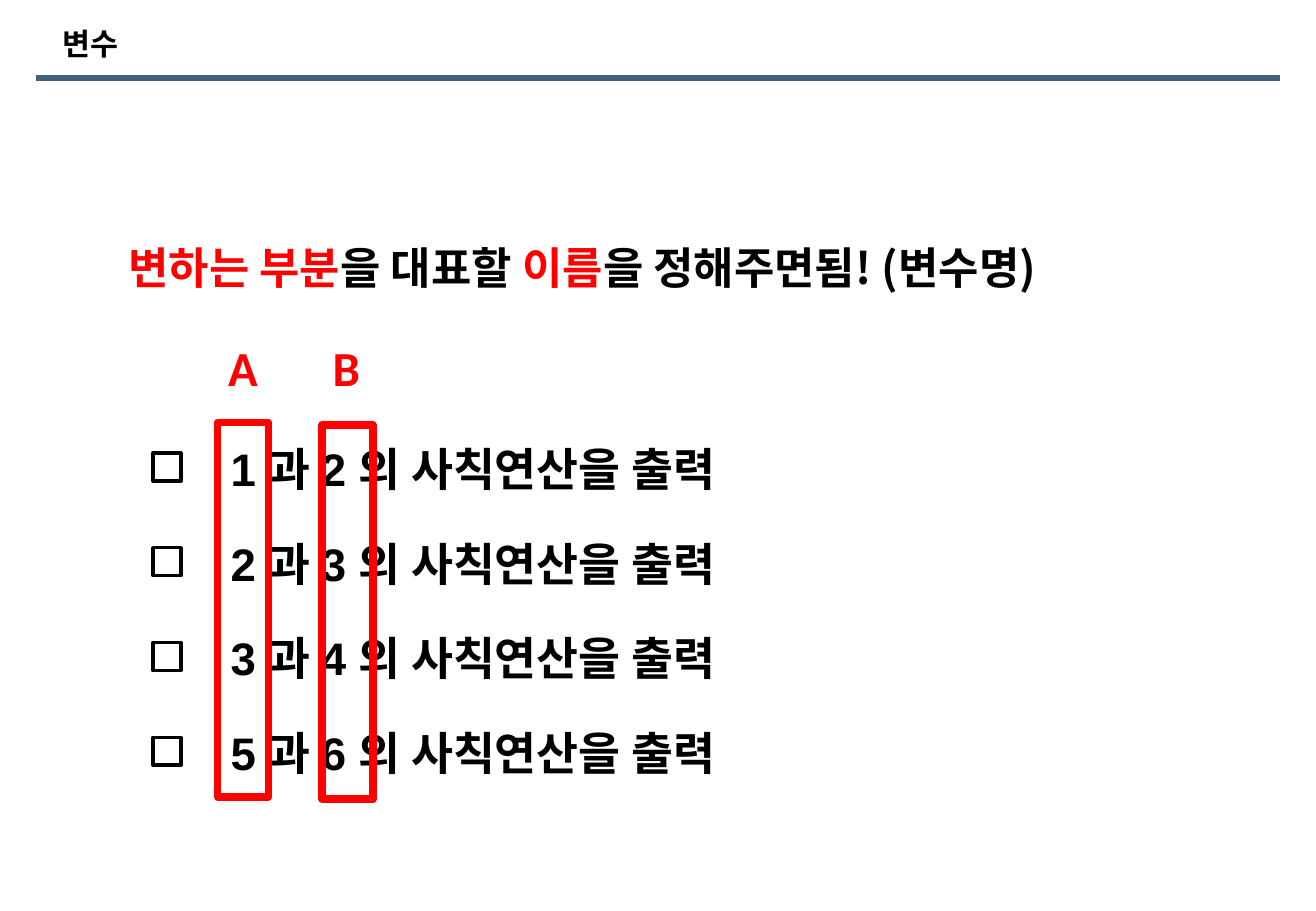
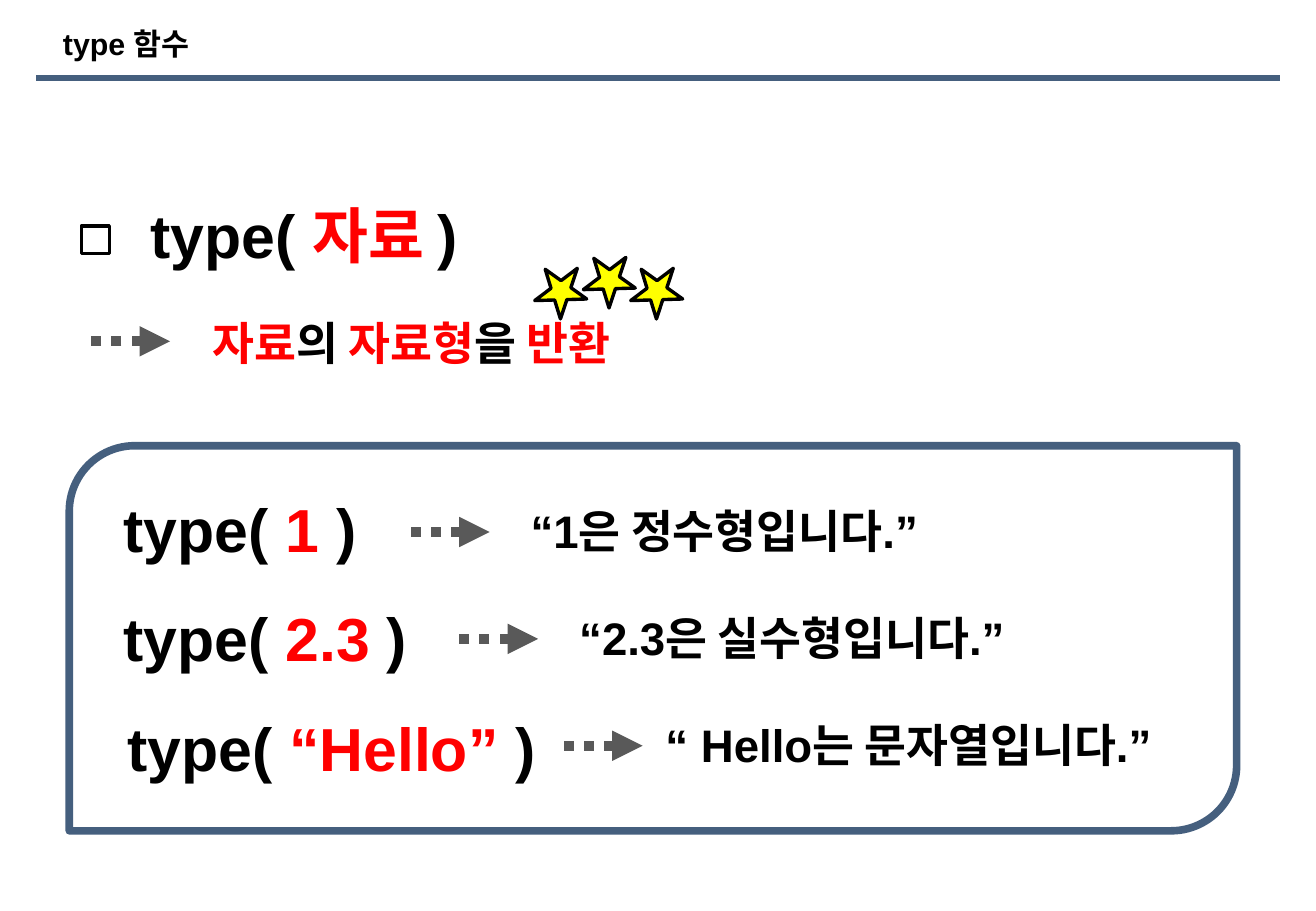
from dataclasses import dataclass

from lxml import etree
from pptx import Presentation
from pptx import util as u
from pptx.dml.color import RGBColor
from pptx.enum import dml, shapes, text
from pptx.oxml import ns

CELL = u.Inches(0.1)
COLUMNS, ROWS = 108.33, 75
COLORS = {"ink": "000000", "accent": "FF0000", "navy": "455F7E",
          "gray": "595959", "paper": "FFFFFF", "star": "FFFF00"}
KOREAN_FONT = "Noto Sans CJK KR"
Runs = list[tuple[str, str]]


@dataclass
class Box:
    """Place and size in grid columns and rows."""
    left: float
    top: float
    width: float
    height: float


@dataclass
class TextStyle:
    """Font, point size and line spacing of a text."""
    size: float
    font: str = "Arial"
    spacing: float | None = None


@dataclass
class Example:
    """A type call, its argument and the sentence it leads to."""
    argument: str
    result: str
    call_left: float
    arrow_left: float
    result_left: float


TITLE = TextStyle(18)
BODY = TextStyle(27)
CALL = TextStyle(36)
LABEL = TextStyle(29, "Calibri")
EXAMPLES = [
    Example("1 ", "“1은 정수형입니다.”", 9.2, 33.8, 42.7),
    Example("2.3 ", "“2.3은 실수형입니다.”", 9.2, 37.8, 46.7),
    Example("“Hello” ", "“ Hello는 문자열입니다.”", 9.5, 46.4, 53.8),
]


def grid(cells: float) -> u.Emu:
    """Turn a number of grid cells into a length."""
    return u.Emu(round(cells * CELL))


def color(name: str) -> RGBColor:
    """Look up a named colour."""
    return RGBColor.from_string(COLORS[name])


def add_text(slide, box: Box, runs: Runs, style: TextStyle) -> None:
    """Add a bold one-paragraph text made of coloured runs."""
    shape = slide.shapes.add_textbox(*map(grid, (box.left, box.top, box.width, box.height)))
    frame = shape.text_frame
    frame.word_wrap = True
    frame.auto_size = text.MSO_AUTO_SIZE.SHAPE_TO_FIT_TEXT
    paragraph = frame.paragraphs[0]
    if style.spacing:
        paragraph.line_spacing = style.spacing
    for words, color_name in runs:
        run = paragraph.add_run()
        run.text = words
        run.font.name, run.font.size, run.font.bold = style.font, u.Pt(style.size), True
        run.font.color.rgb = color(color_name)
        east_asian = etree.SubElement(run.font._element, ns.qn("a:ea"))
        east_asian.set("typeface", KOREAN_FONT)


def add_figure(slide, kind: shapes.MSO_SHAPE, box: Box, line: str,
               weight: float, fill: str | None = None):
    """Add a preset shape with a rounded outline and an optional fill."""
    shape = slide.shapes.add_shape(kind, *map(grid, (box.left, box.top, box.width, box.height)))
    shape.shadow.inherit = False
    if fill:
        shape.fill.solid()
        shape.fill.fore_color.rgb = color(fill)
    else:
        shape.fill.background()
    shape.line.color.rgb = color(line)
    shape.line.width = u.Pt(weight)
    etree.SubElement(shape.line._get_or_add_ln(), ns.qn("a:round"))
    return shape


def add_line(slide, start: float, end: float, top: float, line: str, weight: float):
    """Add a level line without a shadow."""
    connector = slide.shapes.add_connector(
        shapes.MSO_CONNECTOR.STRAIGHT, grid(start), grid(top), grid(end), grid(top))
    connector.line.color.rgb = color(line)
    connector.line.width = u.Pt(weight)
    etree.SubElement(connector._element.spPr, ns.qn("a:effectLst"))
    return connector


def add_arrow(slide, left: float, top: float) -> None:
    """Add a dotted arrow that points right."""
    arrow = add_line(slide, left + 6.5, left, top, "gray", 6)
    arrow.line.dash_style = dml.MSO_LINE.ROUND_DOT
    head = etree.SubElement(arrow.line._get_or_add_ln(), ns.qn("a:headEnd"))
    head.set("type", "triangle")


def add_marker(slide, left: float, top: float) -> None:
    """Add a small square list marker."""
    add_figure(slide, shapes.MSO_SHAPE.RECTANGLE, Box(left, top, 2.3, 2.3), "ink", 2, "paper")


def add_call(slide, left: float, top: float, argument: str) -> None:
    """Add a type call with its argument highlighted."""
    runs = [("type( ", "ink"), (argument, "accent"), (")", "ink")]
    add_text(slide, Box(left, top, 36.7, 7), runs, CALL)


def add_titled_slide(presentation, title: str):
    """Add a blank slide with the shared title and rule."""
    slide = presentation.slides.add_slide(presentation.slide_layouts[6])
    add_line(slide, 3, COLUMNS - 3, 6.4, "navy", 3.6)
    add_text(slide, Box(4.2, 1.6, 56.7, 4), [(title, "ink")], TITLE)
    return slide


def build_variables(presentation) -> None:
    """Build the slide on naming the changing parts."""
    slide = add_titled_slide(presentation, "변수")
    for index, (first, second) in enumerate([(1, 2), (2, 3), (3, 4), (5, 6)]):
        top = 35.8 + 7.8 * index
        add_marker(slide, 12.6, top + 1.5)
        add_text(slide, Box(18, top, 54.1, 5.4),
                 [(f"{first} 과 {second} 의 사칙연산을 출력", "ink")], BODY)
    for name, left, top in [("A", 17.9, 34.8), ("B", 26.5, 35)]:
        add_figure(slide, shapes.MSO_SHAPE.RECTANGLE, Box(left, top, 4.2, 30.8), "accent", 4.5)
        add_text(slide, Box(left - 0.1, 27.3, 4.6, 5.8), [(name, "accent")], LABEL)
    add_text(slide, Box(9.6, 13.3, 89.2, 11.4),
             [("변하는 부분", "accent"), ("을 대표할 ", "ink"), ("이름", "accent"),
              ("을 정해주면됨! (변수명)", "ink")], TextStyle(26, KOREAN_FONT, 2.4))


def build_type_function(presentation) -> None:
    """Build the slide on the type function."""
    slide = add_titled_slide(presentation, "type 함수")
    add_call(slide, 11.4, 15.8, "자료 ")
    add_marker(slide, 6.7, 18.6)
    add_arrow(slide, 7.5, 28.1)
    add_text(slide, Box(16.5, 25.4, 51.7, 5.4),
             [("자료", "accent"), ("의 ", "ink"), ("자료형", "accent"),
              ("을 ", "ink"), ("반환", "accent")], TextStyle(27, KOREAN_FONT))
    for index, example in enumerate(EXAMPLES):
        result_top = 40.9 + 8.8 * index
        add_call(slide, example.call_left, 40 + 9 * index, example.argument)
        add_text(slide, Box(example.result_left, result_top, 53, 5.5),
                 [(example.result, "ink")], BODY)
        add_arrow(slide, example.arrow_left, result_top + 2.9)
    frame = add_figure(slide, shapes.MSO_SHAPE.ROUND_2_DIAG_RECTANGLE,
                       Box(5.7, 36.7, 96.1, 31.7), "navy", 4.5)
    frame.adjustments[0] = 0.17
    for left, top in [(44.2, 21.7), (52.1, 21.7), (48.2, 20.8)]:
        star = add_figure(slide, shapes.MSO_SHAPE.STAR_5_POINT,
                          Box(left, top, 4.2, 4.2), "ink", 2, "star")
        star.rotation = 35.6


def main() -> None:
    """Build and save the presentation."""
    presentation = Presentation()
    presentation.slide_width, presentation.slide_height = grid(COLUMNS), grid(ROWS)
    build_variables(presentation)
    build_type_function(presentation)
    presentation.save("out.pptx")


if __name__ == "__main__":
    main()
